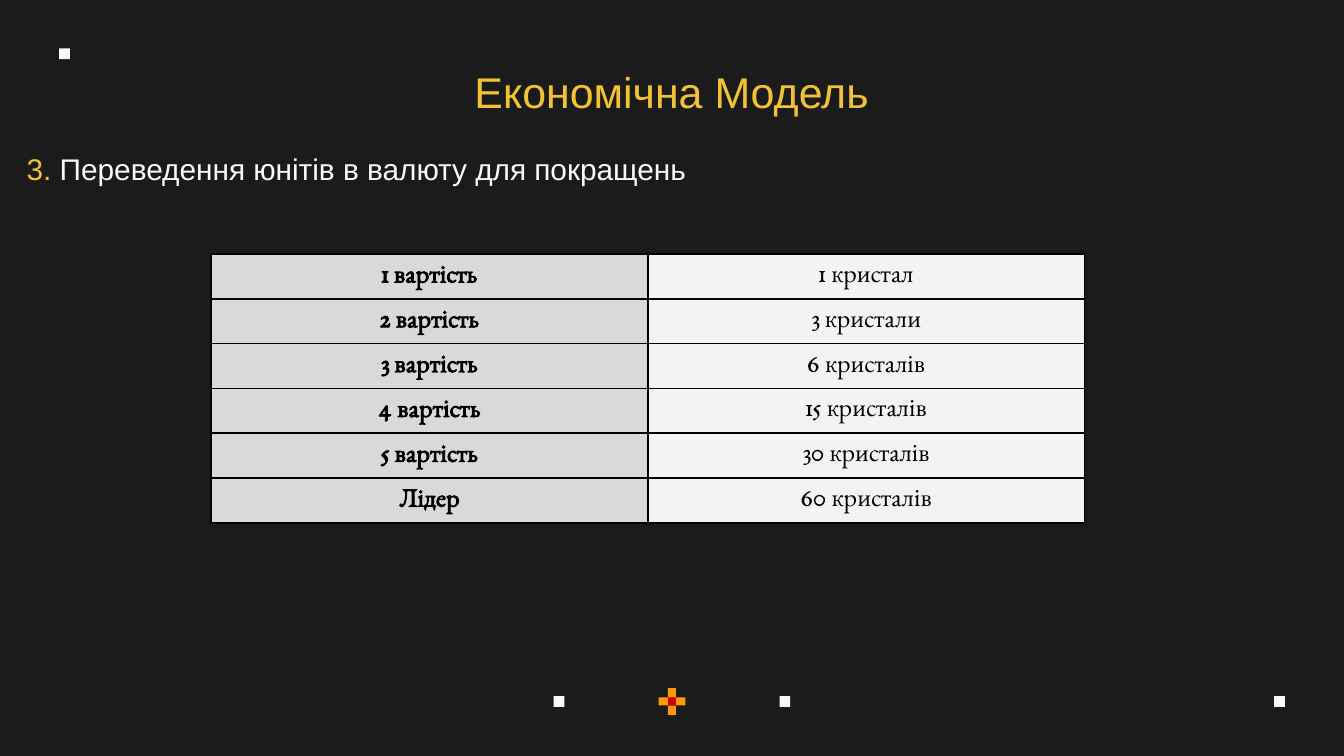
from lxml.etree import SubElement
from pptx import Presentation
from pptx.dml.color import RGBColor
from pptx.enum.shapes import MSO_SHAPE
from pptx.enum.text import PP_ALIGN
from pptx.oxml.ns import qn
from pptx.util import Inches, Pt

GOLD, WHITE, BLACK = "F1C232", "F8F8F8", "000000"
ORANGE, RED = "FF9900", "CC0000"
PRICES = [
    ("1 вартість", "1 кристал"),
    ("2 вартість", "3 кристали"),
    ("3 вартість", "6 кристалів"),
    ("4 вартість", "15 кристалів"),
    ("5 вартість", "30 кристалів"),
    ("Лідер", "60 кристалів"),
]


def paint(fill, color):
    fill.solid()
    fill.fore_color.rgb = RGBColor.from_string(color)


class Deck:
    def __init__(self):
        self.prs = Presentation()
        self.prs.slide_width = Inches(10)
        self.prs.slide_height = Inches(10) * 9 // 16
        self.slide = self.prs.slides.add_slide(self.prs.slide_layouts[6])
        paint(self.slide.background.fill, "1B1B1B")

    def style(self, run, size, color, face="Arial", bold=False):
        run.font.size = Pt(size)
        run.font.name = face
        run.font.bold = bold
        run.font.color.rgb = RGBColor.from_string(color)

    def rect(self, x, y, w, h, color):
        shape = self.slide.shapes.add_shape(
            MSO_SHAPE.RECTANGLE, Inches(x), Inches(y), Inches(w), Inches(h))
        shape.shadow.inherit = False
        paint(shape.fill, color)
        shape.line.fill.background()

    def text(self, x, y, w, h, parts, size, align):
        """Add one line of text from (words, color) parts."""
        box = self.slide.shapes.add_textbox(
            Inches(x), Inches(y), Inches(w), Inches(h))
        frame = box.text_frame
        frame.word_wrap = True
        frame.margin_left = frame.margin_right = Inches(0.1)
        frame.margin_top = frame.margin_bottom = Inches(0.1)
        para = frame.paragraphs[0]
        para.alignment = align
        for words, color in parts:
            run = para.add_run()
            run.text = words
            self.style(run, size, color)

    def border(self, cell):
        props = cell._tc.get_or_add_tcPr()
        for side in ("lnL", "lnR", "lnT", "lnB"):
            line = SubElement(props, qn(f"a:{side}"), w=str(Pt(1)))
            fill = SubElement(line, qn("a:solidFill"))
            SubElement(fill, qn("a:srgbClr"), val=BLACK)

    def cell(self, cell, words, color, bold):
        cell.margin_left = cell.margin_right = Inches(0.07)
        cell.margin_top = Inches(0.07)
        cell.margin_bottom = Inches(0.03)
        self.border(cell)
        paint(cell.fill, color)
        para = cell.text_frame.paragraphs[0]
        para.text = words
        para.alignment = PP_ALIGN.CENTER
        self.style(para.runs[0], 14, BLACK, "EB Garamond", bold)

    def table(self, x, y, width, height, rows):
        """Add a two-column table with bold labels on the left."""
        table = self.slide.shapes.add_table(
            len(rows), 2, Inches(x), Inches(y),
            Inches(width), Inches(height)).table
        table.first_row = table.horz_banding = False
        for i, (label, value) in enumerate(rows):
            self.cell(table.cell(i, 0), label, "D9D9D9", True)
            self.cell(table.cell(i, 1), value, "F3F3F3", False)


def main():
    deck = Deck()
    for x, y in [(4.12, 5.18), (5.8, 5.18), (9.48, 5.18), (0.44, 0.36)]:
        deck.rect(x, y, 0.08, 0.08, WHITE)

    # Pixel cross: a red core with four orange arms
    deck.rect(4.97, 5.19, 0.06, 0.06, RED)
    for y in (5.12, 5.25):
        deck.rect(4.97, y, 0.06, 0.07, ORANGE)
    for x in (4.9, 5.03):
        deck.rect(x, 5.19, 0.07, 0.06, ORANGE)

    deck.text(0.78, 0.39, 8.44, 0.51, [("Економічна Модель", GOLD)],
              23, PP_ALIGN.CENTER)
    deck.table(1.57, 1.89, 6.5, 2, PRICES)
    deck.text(0.1, 1.02, 7.97, 0.74,
              [("3. ", GOLD),
               ("Переведення юнітів в валюту для покращень", WHITE)],
              16, PP_ALIGN.LEFT)
    deck.prs.save("out.pptx")


if __name__ == "__main__":
    main()
